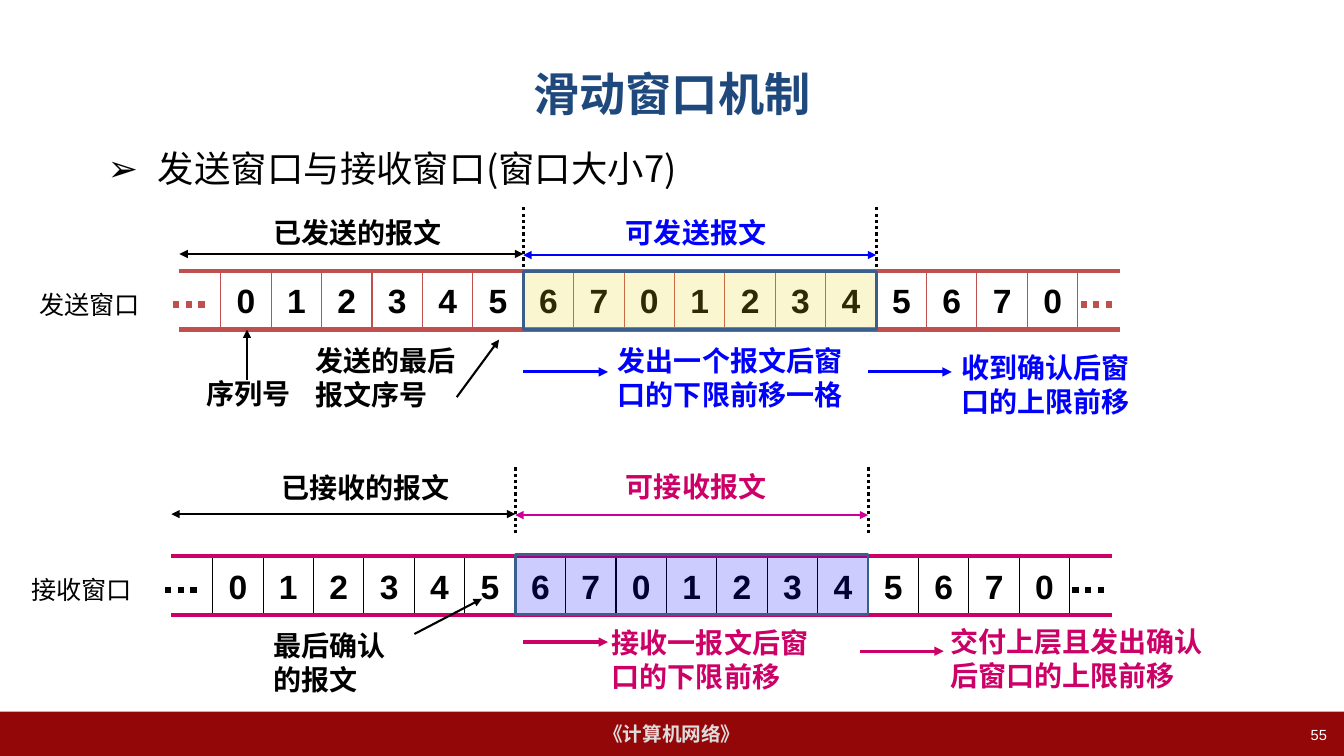
from lxml import etree
from pptx import Presentation
from pptx import util as u
from pptx.dml.color import RGBColor
from pptx.enum import dml, shapes, text
from pptx.oxml.ns import qn

W, H = 13.33, 7.5
CELL, ROW = 0.5, 0.58
NUMBERS = "01234567012345670"
FIRST, SIZE = 6, 7  # first cell of the window, cells in it
BLACK, BLUE, PINK, RED = "000000", "0000FF", "CC0066", "C0504D"
CJK = "Noto Sans CJK SC"


def rgb(value):
    return RGBColor.from_string(value)


def inches(*values):
    return [u.Inches(v) for v in values]


def add_xml(parent, tag, **attrs):
    return etree.SubElement(parent, qn(tag), attrs)


def write(sp, words, size, color=BLACK, bold=True, align=text.PP_ALIGN.LEFT,
          anchor=text.MSO_ANCHOR.TOP, wrap=True, font="Arial"):
    tf = sp.text_frame
    tf.text = words
    tf.word_wrap, tf.auto_size = wrap, text.MSO_AUTO_SIZE.NONE
    tf.vertical_anchor = anchor
    p = tf.paragraphs[0]
    p.alignment = align
    r = p.runs[0]
    r.font.size, r.font.bold, r.font.name = u.Pt(size), bold, font
    r.font.color.rgb = rgb(color)
    add_xml(r.font._element, "a:ea", typeface=CJK)
    return p


def label(s, box, words, size=20, color=BLACK, **style):
    return write(s.shapes.add_textbox(*inches(*box)), words, size, color, **style)


def rect(s, box, fill=None, line=None, width=0.75, alpha=None):
    sp = s.shapes.add_shape(shapes.MSO_SHAPE.RECTANGLE, *inches(*box))
    sp.shadow.inherit = False
    if fill:
        sp.fill.solid()
        sp.fill.fore_color.rgb = rgb(fill)
        if alpha:
            color = sp.fill._xPr.find(qn("a:solidFill"))[0]
            add_xml(color, "a:alpha", val=str(alpha * 1000))
    else:
        sp.fill.background()
    if line:
        sp.line.color.rgb, sp.line.width = rgb(line), u.Pt(width)
    else:
        sp.line.fill.background()
    return sp


def line(s, x1, y1, x2, y2, color=BLACK, width=1.5, ends=(), dotted=False):
    c = s.shapes.add_connector(shapes.MSO_CONNECTOR.STRAIGHT, *inches(x1, y1, x2, y2))
    c.line.color.rgb, c.line.width = rgb(color), u.Pt(width)
    if dotted:
        c.line.dash_style = dml.MSO_LINE.ROUND_DOT
        c.line._ln.find(qn("a:prstDash")).set("val", "sysDot")
    for end in ends:
        add_xml(c.line._ln, f"a:{end}End", type="triangle")
    add_xml(c._element.spPr, "a:effectLst")


def heading(s, box):
    title, body = s.placeholders
    x, y, w, h = box
    title.left, title.top, title.width, title.height = inches(x, y, w, h)
    write(title, "滑动窗口机制", 33, "1F497D", align=text.PP_ALIGN.CENTER,
          anchor=text.MSO_ANCHOR.MIDDLE)
    body.left, body.top, body.width, body.height = inches(x + 0.3, y + 1.16, 9.26, 0.47)
    p = write(body, "发送窗口与接收窗口(窗口大小7)", 26, bold=False,
              anchor=text.MSO_ANCHOR.MIDDLE, font=CJK)
    p.line_spacing, p.space_before = 0.9, u.Pt(0)
    pPr = p._p.get_or_add_pPr()
    pPr.set("marL", str(u.Inches(0.5)))
    pPr.set("indent", str(u.Inches(-0.5)))
    add_xml(pPr, "a:buFont", typeface="Arial")
    add_xml(pPr, "a:buChar", char="➢")


def spans(s, x, y, done, ready, ready_color, arrow_color):
    """Labelled ranges above a strip; done and ready are (words, offset, drop)."""
    start, end = x + FIRST * CELL, x + (FIRST + SIZE) * CELL
    for (words, dx, dy), color, width in ((done, BLACK, 1.92), (ready, ready_color, 1.75)):
        label(s, (x + dx, y + dy, width, 0.44), words, color=color)
    for edge in (start, end):
        line(s, edge, y + 0.67, edge, y, width=2.25, dotted=True)
    both = ("head", "tail")
    line(s, x - 0.41, y + 0.48, start, y + 0.48, ends=both)
    line(s, start, y + 0.49, end, y + 0.49, arrow_color, ends=both)


def strip(s, x, y, name, cell_color, rail_color, tint, rise):
    """Row of numbered cells with rails, dots and the tinted window."""
    for i, number in enumerate(NUMBERS):
        cell = rect(s, (x + i * CELL, y, CELL, ROW), line=cell_color)
        write(cell, number, 24, align=text.PP_ALIGN.CENTER,
              anchor=text.MSO_ANCHOR.MIDDLE, wrap=False)
    for rail in (y, y + ROW):
        line(s, x - 0.41, rail, x + 8.92, rail, rail_color, 3)
    for dots in (x - 0.16, x + 8.84):
        line(s, dots, y + 0.33, dots - 0.34, y + 0.33, cell_color, 4.5, dotted=True)
    rect(s, (x + FIRST * CELL, y - rise, SIZE * CELL, ROW + rise),
         tint, "3A5F8C", 2, alpha=20)
    label(s, (x - 1.9, y + 0.13, 2.27, 0.4), name, 18, bold=False)


def notes(s, x, y, remarks, arrows):
    """Remarks and pointers below a strip, offset from its corner."""
    for words, dx, dy, w, h, color in remarks:
        label(s, (x + dx, y + dy, w, h), words, color=color)
    for x1, y1, x2, y2, color, width in arrows:
        line(s, x + x1, y + y1, x + x2, y + y2, color, width, ("tail",))


def footer(s, box):
    x, y, w, h = box
    write(rect(s, box, "940709"), "《计算机网络》", 14, "DDDDDD",
          align=text.PP_ALIGN.CENTER, anchor=text.MSO_ANCHOR.MIDDLE, wrap=False)
    label(s, (x + w - 3.18, y + 0.09, 3.11, 0.35), "55", 10.5, "FFFFFF",
          bold=False, align=text.PP_ALIGN.RIGHT)


def sender(s, x, y):
    spans(s, x, y - 0.65, ("已发送的报文", 0.42, 0.05), ("可发送报文", 3.92, 0.05), BLUE, BLUE)
    strip(s, x, y, "发送窗口", RED, RED, "E8D918", 0)
    notes(s, x, y, [
        ("序列号", -0.24, 1, 1.08, 0.43, BLACK),
        ("发送的最后报文序号", 0.84, 0.67, 1.67, 0.77, BLACK),
        ("发出一个报文后窗口的下限前移一格", 3.84, 0.67, 2.58, 0.77, BLUE),
        ("收到确认后窗口的上限前移", 7.25, 0.74, 2, 0.77, BLUE),
    ], [
        (0.26, 1.08, 0.26, 0.58, BLACK, 1.5),
        (2.34, 1.25, 2.76, 0.68, BLACK, 1.5),
        (3, 1, 3.84, 1, BLUE, 2.25),
        (6.42, 1, 7.25, 1, BLUE, 2.25),
    ])


def receiver(s, x, y):
    spans(s, x, y - 0.9, ("已接收的报文", 0.58, 0), ("可接收报文", 4, -0.01), PINK, "CC0099")
    strip(s, x, y, "接收窗口", BLACK, PINK, BLUE, 0.02)
    notes(s, x, y, [
        ("最后确认的报文", 0.5, 0.67, 1.42, 0.77, BLACK),
        ("接收一报文后窗口的下限前移", 3.86, 0.64, 2.36, 0.77, PINK),
        ("交付上层且发出确认后窗口的上限前移", 7.22, 0.63, 2.83, 0.77, PINK),
    ], [
        (2, 0.77, 2.67, 0.42, BLACK, 1.5),
        (3.08, 0.85, 3.92, 0.85, PINK, 2.25),
        (6.42, 0.94, 7.25, 0.94, PINK, 2.25),
    ])


def main():
    prs = Presentation()
    prs.slide_width, prs.slide_height = inches(W, H)
    s = prs.slides.add_slide(prs.slide_layouts[1])
    footer(s, (0, H - 0.44, W, 0.44))
    heading(s, (0.05 * W, 0.04 * H, 0.9 * W, 1.25))
    sender(s, 2.19, 2.69)
    receiver(s, 2.11, 5.52)
    prs.save("out.pptx")


if __name__ == "__main__":
    main()
